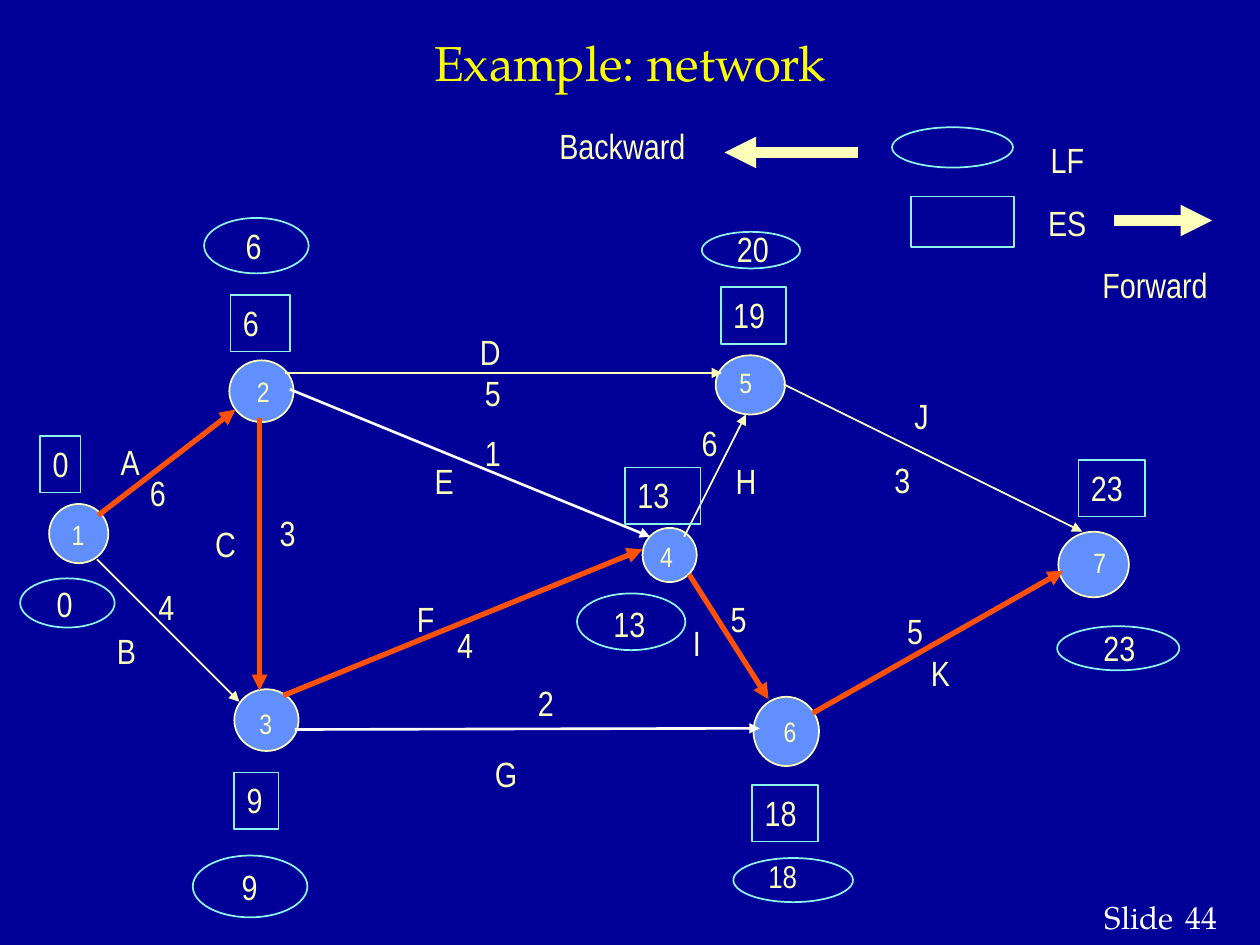
"""Builds the project network slide with forward and backward pass times."""
import pptx
import pptx.util
import pptx.dml.color
import pptx.enum.shapes
import pptx.enum.text
import pptx.oxml
import pptx.oxml.ns

Inches = pptx.util.Inches
Pt = pptx.util.Pt
SHAPE = pptx.enum.shapes.MSO_SHAPE
ALIGN = pptx.enum.text.PP_ALIGN
ANCHOR = pptx.enum.text.MSO_ANCHOR

COLORS = {
    "background": "000099",
    "title": "FAFD00",
    "cream": "FCFEB9",
    "node": "618FFD",
    "time": "8CF4EA",
    "critical": "FF5008",
    "white": "FFFFFF",
}
SANS = "Arial Narrow"
SERIF = "TeX Gyre Pagella"
LABEL_H = 0.43

# number, circle box, number box
NODES = [
    ("1", (0.39, 4, 0.47, 0.47), (0.47, 4.06, 0.23, 0.37)),
    ("2", (1.82, 2.86, 0.51, 0.49), (1.94, 2.92, 0.49, 0.37)),
    ("3", (1.86, 5.47, 0.51, 0.49), (1.96, 5.56, 0.25, 0.37)),
    ("4", (5.1, 4.19, 0.43, 0.43), (5.14, 4.23, 0.32, 0.37)),
    ("5", (5.68, 2.82, 0.55, 0.47), (5.77, 2.85, 0.48, 0.37)),
    ("6", (5.98, 5.53, 0.52, 0.55), (6.12, 5.62, 0.55, 0.37)),
    ("7", (8.4, 4.22, 0.56, 0.52), (8.58, 4.28, 0.73, 0.37)),
]

# start, end, colour, width
ARROWS = [
    ((0.78, 4.09), (1.87, 3.25), "critical", 3),
    ((0.77, 4.44), (1.9, 5.57), "cream", 1),
    ((2.06, 3.32), (2.06, 5.48), "critical", 3),
    ((2.26, 2.96), (5.73, 2.96), "cream", 1),
    ((2.3, 3.09), (5.16, 4.26), "white", 1.5),
    ((2.25, 5.52), (5.1, 4.36), "critical", 3),
    ((2.34, 5.79), (6.03, 5.78), "white", 1.5),
    ((5.43, 4.26), (5.92, 3.29), "cream", 1),
    ((5.47, 4.56), (6.1, 5.55), "critical", 3),
    ((6.22, 3.05), (8.59, 4.22), "cream", 1),
    ((6.45, 5.66), (8.44, 4.53), "critical", 3),
    ((8.84, 1.75), (9.62, 1.75), "cream", 6),
    ((6.81, 1.21), (5.75, 1.21), "cream", 6),
]

# text, left, top, width
LABELS = [
    ("A", 0.86, 3.45, 0.43), ("B", 0.83, 4.95, 0.4), ("C", 1.61, 4.1, 0.35),
    ("D", 3.71, 2.57, 0.43), ("E", 3.35, 3.6, 0.48), ("F", 3.21, 4.69, 0.32),
    ("G", 3.83, 5.92, 0.44), ("H", 5.74, 3.6, 0.43), ("I", 5.4, 4.88, 0.27),
    ("J", 7.16, 3.08, 0.4), ("K", 7.29, 5.12, 0.35),
    ("6", 1.09, 3.69, 0.39), ("4", 1.16, 4.6, 0.43), ("3", 2.12, 4.01, 0.35),
    ("4", 3.53, 4.9, 0.36), ("2", 4.17, 5.36, 0.32), ("6", 5.47, 3.3, 0.4),
    ("5", 5.7, 4.69, 0.57), ("3", 7, 3.59, 0.4), ("5", 7.1, 4.79, 0.55),
    ("ES", 8.22, 1.55, 0.87), ("LF", 8.24, 1.05, 0.73),
    ("Forward", 8.65, 2.04, 1.06), ("Backward", 4.34, 0.94, 1.31),
]

# earliest start, left, top, width
EARLIEST = [
    ("0", 0.32, 3.46, 0.32), ("6", 1.83, 2.34, 0.47), ("9", 1.86, 6.13, 0.35),
    ("13", 4.96, 3.71, 0.6), ("19", 5.72, 2.28, 0.52),
    ("18", 5.97, 6.23, 0.52), ("23", 8.56, 3.65, 0.53),
]

# latest finish, ellipse box, text box, size
LATEST = [
    ("0", (0.16, 4.59, 0.75, 0.39), (0.35, 4.57, 0.42, LABEL_H), 20),
    ("6", (1.62, 1.73, 0.83, 0.44), (1.85, 1.73, 0.42, LABEL_H), 20),
    ("9", (1.53, 6.79, 0.91, 0.49), (1.82, 6.82, 0.57, LABEL_H), 20),
    ("13", (4.58, 4.71, 0.86, 0.45), (4.77, 4.73, 0.51, LABEL_H), 20),
    ("20", (5.57, 1.84, 0.78, 0.29), (5.75, 1.76, 0.53, LABEL_H), 20),
    ("18", (5.82, 6.81, 0.95, 0.35), (6, 6.75, 0.56, 0.4), 18),
    ("23", (8.39, 4.97, 0.97, 0.35), (8.66, 4.92, 0.63, LABEL_H), 20),
]


def rgb(name):
    return pptx.dml.color.RGBColor.from_string(COLORS[name])


def write(tf, text, size=20, font=SANS, color="cream", align=ALIGN.LEFT, anchor=ANCHOR.TOP):
    tf.word_wrap = True
    tf.vertical_anchor = anchor
    for i, line in enumerate(text.split("\n")):
        p = tf.add_paragraph() if i else tf.paragraphs[0]
        p.text = line
        p.alignment = align
        p.space_before = Pt(size / 2 if i else 0)
        p.font.size = Pt(size)
        p.font.name = font
        p.font.color.rgb = rgb(color)


def add_text(s, text, box, **style):
    write(s.shapes.add_textbox(*map(Inches, box)).text_frame, text, **style)


def add_outline(s, kind, box, line="time", fill=None):
    sp = s.shapes.add_shape(kind, *map(Inches, box))
    sp.shadow.inherit = False
    sp.line.color.rgb = rgb(line)
    sp.line.width = Pt(1)
    if fill:
        sp.fill.solid()
        sp.fill.fore_color.rgb = rgb(fill)
    else:
        sp.fill.background()
    return sp


def add_arrow(s, start, end, color, width):
    c = s.shapes.add_connector(
        pptx.enum.shapes.MSO_CONNECTOR.STRAIGHT, *map(Inches, start + end))
    c.line.color.rgb = rgb(color)
    c.line.width = Pt(width)
    ns = pptx.oxml.ns.nsdecls("a")
    spPr = c.element.spPr
    ln = spPr.find(pptx.oxml.ns.qn("a:ln"))
    ln.append(pptx.oxml.parse_xml(f'<a:tailEnd {ns} type="triangle"/>'))
    spPr.append(pptx.oxml.parse_xml(f"<a:effectLst {ns}/>"))


def main():
    prs = pptx.Presentation()
    prs.slide_width, prs.slide_height = Inches(10), Inches(7.5)
    s = prs.slides.add_slide(prs.slide_layouts[6])
    s.background.fill.solid()
    s.background.fill.fore_color.rgb = rgb("background")

    add_text(s, "Slide", (8.67, 7.08, 0.91, 0.4), size=18, font=SERIF, color="white")
    add_text(s, "44", (9.31, 7.08, 0.6, 0.4), size=18, font=SERIF, color="white")
    add_text(s, "Example: network", (0.58, 0.05, 8.84, 0.89), size=28, font=SERIF,
             color="title", align=ALIGN.CENTER, anchor=ANCHOR.MIDDLE)

    for _, circle, _ in NODES:
        add_outline(s, SHAPE.OVAL, circle, "cream", "node")
    for arrow in ARROWS:
        add_arrow(s, *arrow)
    for number, _, box in NODES:
        add_text(s, number, box, size=16)
    for text, x, y, w in LABELS:
        add_text(s, text, (x, y, w, LABEL_H))
    add_text(s, "5\n1", (3.75, 2.9, 0.45, 0.93))

    for value, x, y, w in EARLIEST:
        write(add_outline(s, SHAPE.RECTANGLE, (x, y, w, 0.45)).text_frame, value)
    for value, ellipse, box, size in LATEST:
        add_outline(s, SHAPE.OVAL, ellipse)
        add_text(s, value, box, size=size)
    add_outline(s, SHAPE.OVAL, (7.08, 1.01, 0.96, 0.32))
    add_outline(s, SHAPE.RECTANGLE, (7.23, 1.56, 0.82, 0.4))
    prs.save("out.pptx")


if __name__ == "__main__":
    main()
